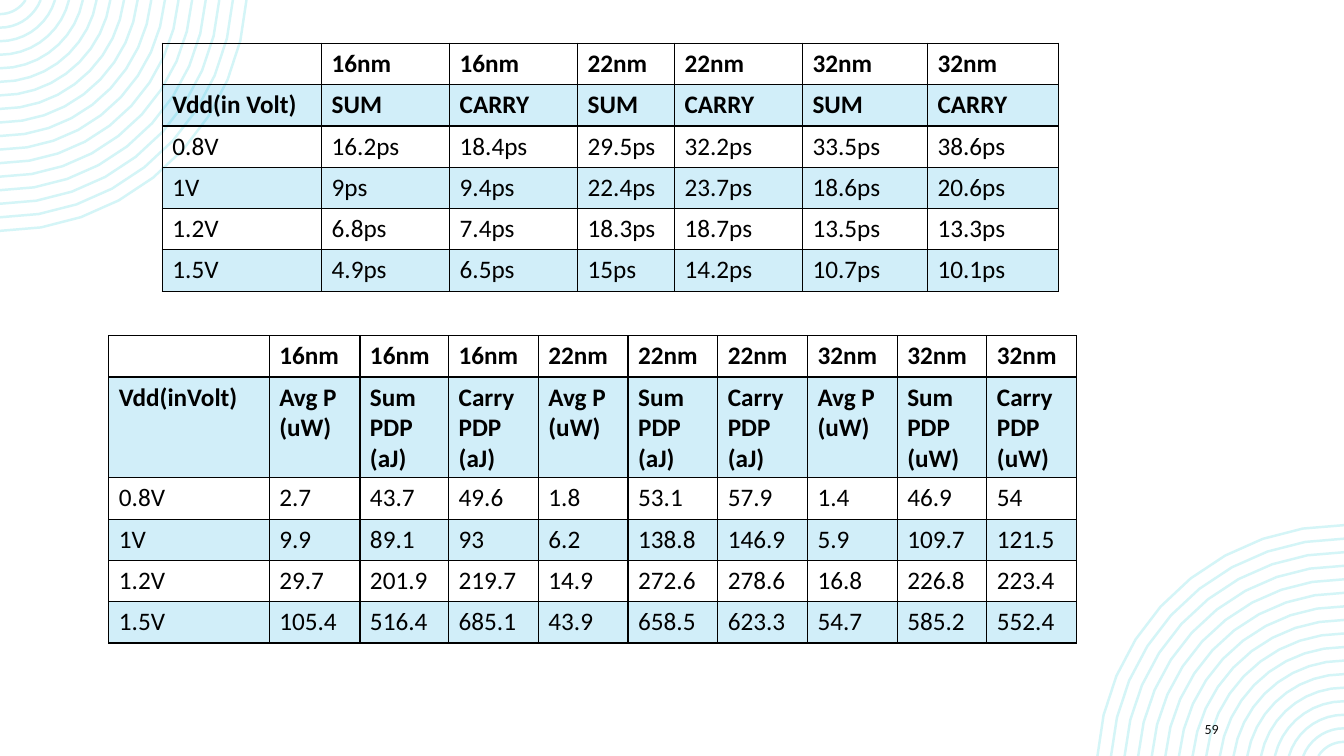
"""Builds a slide with delay and power tables for three process nodes."""
from dataclasses import dataclass
from math import asin, cos, pi, sin

from lxml import etree
from pptx import Presentation
from pptx.dml.color import RGBColor
from pptx.enum.text import MSO_ANCHOR
from pptx.oxml.ns import qn
from pptx.util import Inches, Pt

MIDDLE = MSO_ANCHOR.MIDDLE
SLIDE_WIDTH, SLIDE_HEIGHT = 13.33, 7.5
PAGE_NUMBER = "59"
HEADER_ROWS = 2

DELAY = {
    "left": 1.61,
    "top": 0.43,
    "columns": [1.58, 1.27, 1.27, 0.96, 1.27, 1.24, 1.3],
    "heights": [0.41] * 6,
    "rows": [
        ["", "16nm", "16nm", "22nm", "22nm", "32nm", "32nm"],
        ["Vdd(in Volt)", "SUM", "CARRY", "SUM", "CARRY", "SUM", "CARRY"],
        ["0.8V", "16.2ps", "18.4ps", "29.5ps", "32.2ps", "33.5ps", "38.6ps"],
        ["1V", "9ps", "9.4ps", "22.4ps", "23.7ps", "18.6ps", "20.6ps"],
        ["1.2V", "6.8ps", "7.4ps", "18.3ps", "18.7ps", "13.5ps", "13.3ps"],
        ["1.5V", "4.9ps", "6.5ps", "15ps", "14.2ps", "10.7ps", "10.1ps"],
    ],
}
POWER = {
    "left": 1.08,
    "top": 3.33,
    "columns": [1.59, 0.9, 0.88] + [0.89] * 7,
    "heights": [0.41, 1.0] + [0.41] * 4,
    "rows": [
        ["", "16nm", "16nm", "16nm", "22nm", "22nm", "22nm", "32nm", "32nm", "32nm"],
        ["Vdd(inVolt)", "Avg P\n(uW)", "Sum PDP (aJ)", "Carry PDP (aJ)",
         "Avg P\n(uW)", "Sum PDP (aJ)", "Carry PDP (aJ)",
         "Avg P\n(uW)", "Sum PDP (uW)", "Carry PDP (uW)"],
        ["0.8V", "2.7", "43.7", "49.6", "1.8", "53.1", "57.9", "1.4", "46.9", "54"],
        ["1V", "9.9", "89.1", "93", "6.2", "138.8", "146.9", "5.9", "109.7", "121.5"],
        ["1.2V", "29.7", "201.9", "219.7", "14.9", "272.6", "278.6", "16.8", "226.8", "223.4"],
        ["1.5V", "105.4", "516.4", "685.1", "43.9", "658.5", "623.3", "54.7", "585.2", "552.4"],
    ],
}
RINGS = {"count": 17, "outer": 2.45, "inner": 0.3, "rise": 0.16, "steps": 9}


@dataclass(frozen=True)
class Theme:
    font: str = "Calibri"
    ink: str = "000000"
    page_ink: str = "0D0D0D"
    stripe: str = "1CADE4"
    stripe_alpha: int = 20
    ring: str = "D4F5F7"
    ring_width: float = 1.75
    table_size: int = 18
    page_size: int = 10
    border: int = 1


THEME = Theme()


def format_text(frame, size, color, bold=False):
    look = {"name": THEME.font, "size": Pt(size), "bold": bold}
    for paragraph in frame.paragraphs:
        for run in paragraph.runs:
            for attribute, value in look.items():
                setattr(run.font, attribute, value)
            run.font.color.rgb = RGBColor.from_string(color)


def ring_points(radius, opposite):
    first = asin(RINGS["rise"] / radius)
    sweep = pi / 2 - first
    for step in range(RINGS["steps"] + 1):
        angle = first + sweep * step / RINGS["steps"]
        x, y = radius * cos(angle), radius * sin(angle) - RINGS["rise"]
        if opposite:
            x, y = SLIDE_WIDTH - x, SLIDE_HEIGHT - y
        yield Inches(x), Inches(y)


def add_rings(slide, opposite):
    pitch = (RINGS["outer"] - RINGS["inner"]) / (RINGS["count"] - 1)
    outline = None
    for index in range(RINGS["count"]):
        start, *others = ring_points(RINGS["outer"] - pitch * index, opposite)
        if outline is None:
            outline = slide.shapes.build_freeform(*start)
        else:
            outline.move_to(*start)
        outline.add_line_segments(others, close=False)
    rings = outline.convert_to_shape()
    rings.shadow.inherit = False
    rings.fill.background()
    rings.line.color.rgb = RGBColor.from_string(THEME.ring)
    rings.line.width = Pt(THEME.ring_width)


def add_borders(cell):
    properties = cell._tc.get_or_add_tcPr()
    for side in ("a:lnL", "a:lnR", "a:lnT", "a:lnB"):
        border = etree.SubElement(properties, qn(side), w=str(Pt(THEME.border)))
        fill = etree.SubElement(border, qn("a:solidFill"))
        etree.SubElement(fill, qn("a:srgbClr"), val=THEME.ink)


def fill_cell(cell, striped):
    if not striped:
        cell.fill.background()
        return
    cell.fill.solid()
    cell.fill.fore_color.rgb = RGBColor.from_string(THEME.stripe)
    color = cell._tc.tcPr.find(qn("a:solidFill")).find(qn("a:srgbClr"))
    etree.SubElement(color, qn("a:alpha"), val=str(THEME.stripe_alpha * 1000))


def add_results(slide, results):
    rows, columns, heights = results["rows"], results["columns"], results["heights"]
    grid = slide.shapes.add_table(
        len(rows), len(columns), Inches(results["left"]), Inches(results["top"]),
        Inches(sum(columns)), Inches(sum(heights))).table
    grid.first_row = grid.horz_banding = False
    for column, width in zip(grid.columns, columns):
        column.width = Inches(width)
    for index, (row, height, values) in enumerate(zip(grid.rows, heights, rows)):
        row.height = Inches(height)
        for cell, value in zip(row.cells, values):
            cell.text = value
            format_text(cell.text_frame, THEME.table_size, THEME.ink, index < HEADER_ROWS)
            add_borders(cell)
            fill_cell(cell, index % 2 == 1)


def add_page_number(slide):
    frame = slide.shapes.add_textbox(
        Inches(11.85), Inches(7.08), Inches(1.06), Inches(0.3)).text_frame
    frame.word_wrap = True
    frame.vertical_anchor = MIDDLE
    frame.text = PAGE_NUMBER
    format_text(frame, THEME.page_size, THEME.page_ink)


def main():
    deck = Presentation()
    deck.slide_width, deck.slide_height = Inches(SLIDE_WIDTH), Inches(SLIDE_HEIGHT)
    slide = deck.slides.add_slide(deck.slide_layouts.get_by_name("Blank"))
    for opposite in (False, True):
        add_rings(slide, opposite)
    add_page_number(slide)
    for results in (DELAY, POWER):
        add_results(slide, results)
    deck.save("out.pptx")


if __name__ == "__main__":
    main()
